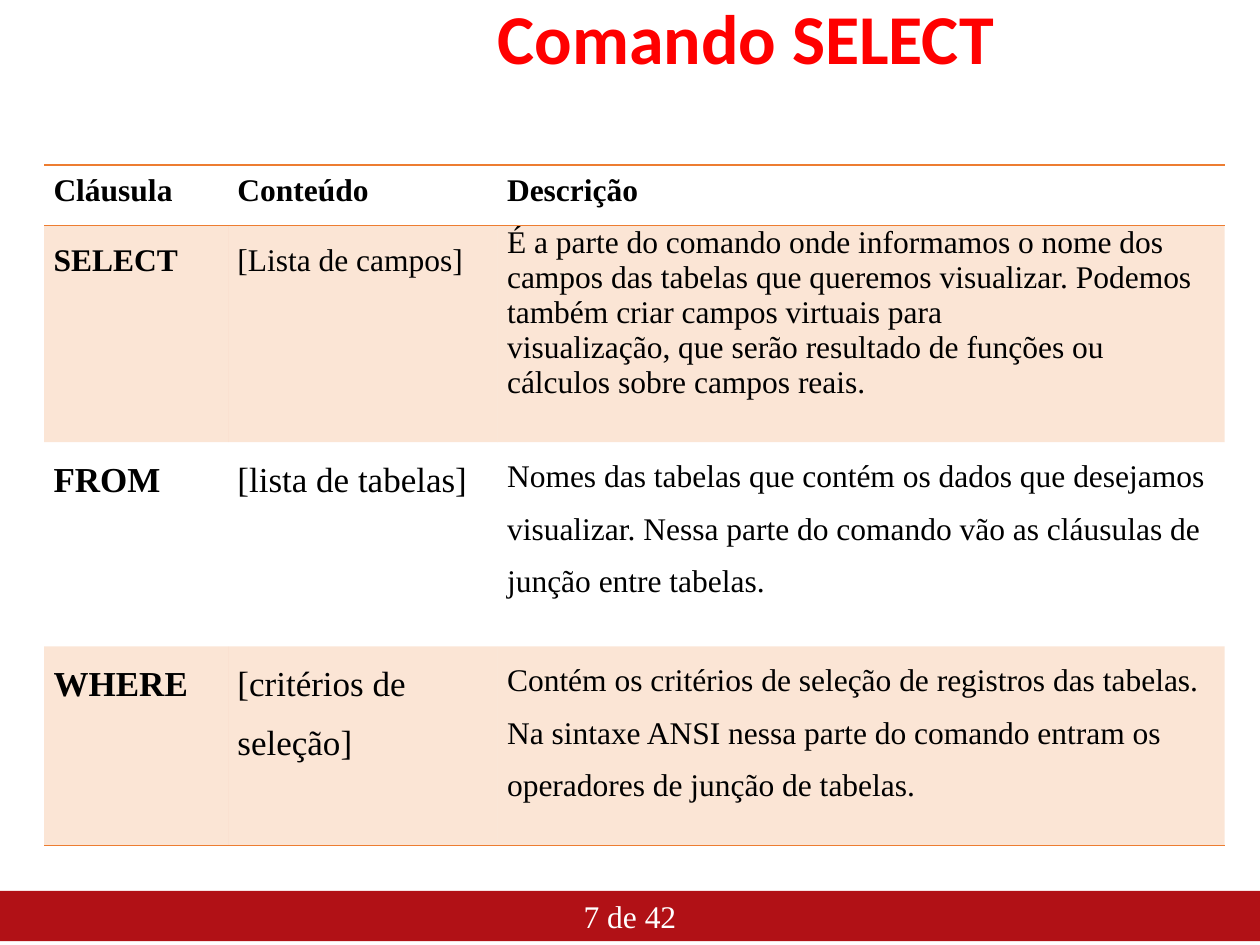
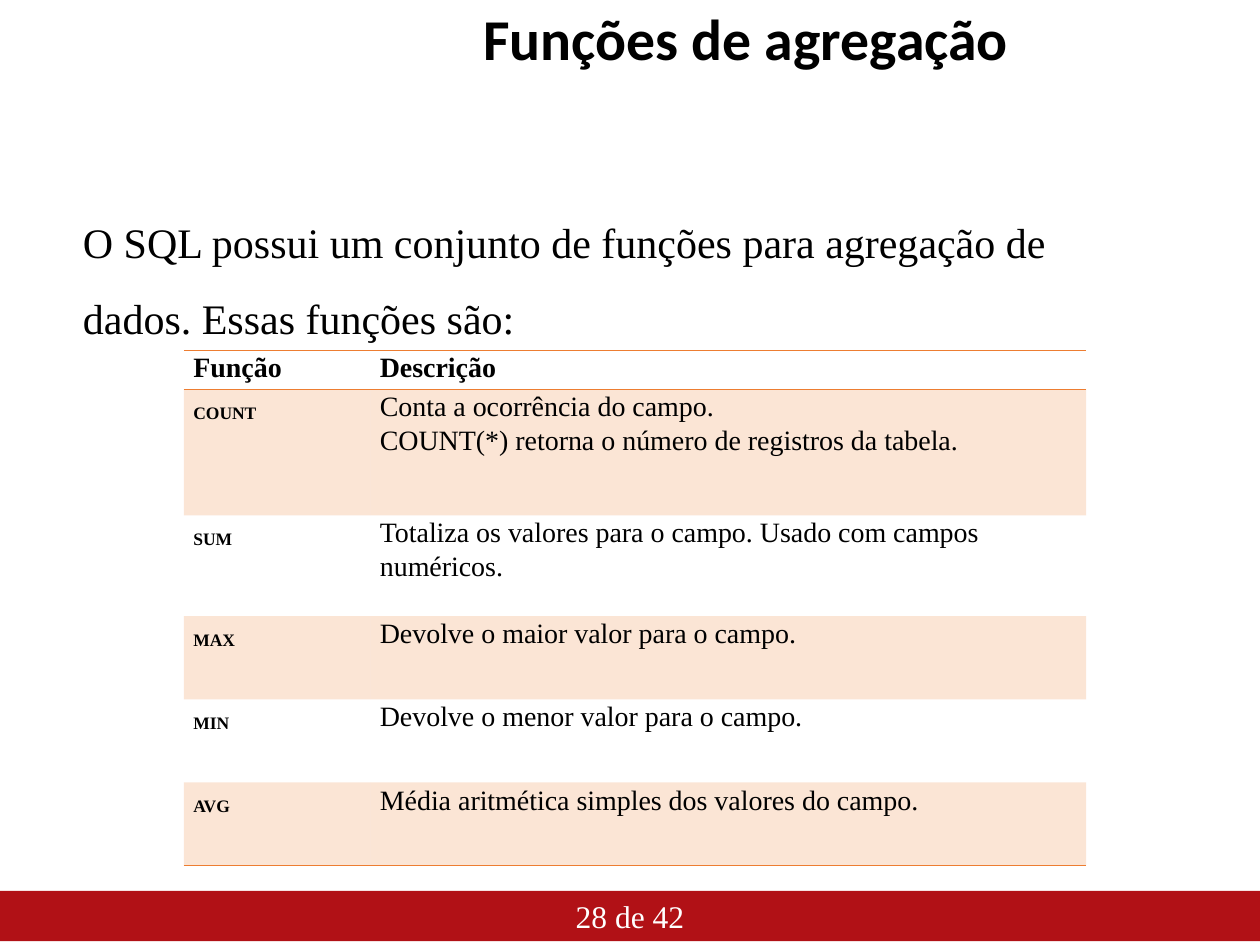
from dataclasses import dataclass

from lxml import etree
from pptx import Presentation, util as u
from pptx.dml import color
from pptx.enum import shapes, text
from pptx.oxml import ns

PAGE_COUNT = 42
PLAIN_TABLE = "{2D5ABB26-0587-4C30-8999-92F81FD0307C}"


def rgb(code):
    """Turn a hex string into a colour."""
    return color.RGBColor.from_string(code)


@dataclass
class Type:
    """Size, line spacing and weight of a piece of text."""
    size: float
    spacing: float = 1.0
    bold: bool = False


class Lesson:
    """Shared style and current slide, on a grid of 100 columns by 75 rows."""
    title_font, body_font = "Calibri", "Times New Roman"
    black, white, red = "000000", "FFFFFF", "FF0000"
    band, accent = "B11116", "ED7D31"
    tint = 20

    def __init__(self):
        """Start an empty deck and set the grid."""
        self.deck = Presentation()
        self.deck.slide_width, self.deck.slide_height = u.Inches(10), u.Inches(7.5)
        self.page = None

    def col(self, count):
        """Length of a number of grid columns."""
        return round(self.deck.slide_width * count / 100)

    def row(self, count):
        """Length of a number of grid rows."""
        return round(self.deck.slide_height * count / 75)

    def area(self, left, top, width, height):
        """Position and size from grid units."""
        return self.col(left), self.row(top), self.col(width), self.row(height)

    def add_text(self, frame, words, kind, font=None, ink=None, align=None):
        """Fill a text frame, one paragraph for each line of words."""
        frame.word_wrap = True
        for index, line in enumerate(words.split("\n")):
            para = frame.add_paragraph() if index else frame.paragraphs[0]
            para.line_spacing = kind.spacing
            if align is not None:
                para.alignment = align
            span = para.add_run()
            span.text = line
            span.font.name = font or self.body_font
            span.font.size = u.Pt(kind.size)
            span.font.bold = kind.bold
            span.font.color.rgb = rgb(ink or self.black)

    def start(self, title, size, number, ink=None):
        """Add a page with its title and numbered footer band."""
        self.page = self.deck.slides.add_slide(self.deck.slide_layouts[5])
        self.footer(number)
        box = self.page.shapes.title
        box.left, box.top, box.width, box.height = self.area(18.5, 0, 81.4, 6.7)
        frame = box.text_frame
        frame.auto_size = text.MSO_AUTO_SIZE.NONE
        frame.vertical_anchor = text.MSO_ANCHOR.MIDDLE
        self.add_text(frame, title, Type(size, 0.9, True), self.title_font, ink,
                      text.PP_ALIGN.CENTER)

    def footer(self, number):
        """Draw the footer band with the page number."""
        box = self.page.shapes.add_shape(shapes.MSO_SHAPE.RECTANGLE,
                                         *self.area(0, 70.7, 100, 4))
        box.shadow.inherit = False
        box.fill.solid()
        box.fill.fore_color.rgb = rgb(self.band)
        box.line.fill.background()
        box.text_frame.auto_size = text.MSO_AUTO_SIZE.SHAPE_TO_FIT_TEXT
        self.add_text(box.text_frame, f"{number} de {PAGE_COUNT}", Type(18),
                      ink=self.white, align=text.PP_ALIGN.CENTER)

    def body(self, words, place, indent, kind):
        """Add an indented text box."""
        box = self.page.shapes.add_textbox(*self.area(*place))
        box.text_frame.auto_size = text.MSO_AUTO_SIZE.SHAPE_TO_FIT_TEXT
        self.add_text(box.text_frame, words, kind)
        for para in box.text_frame.paragraphs:
            para._p.get_or_add_pPr().set("marL", str(self.col(indent)))

    def shade(self, cell):
        """Fill a cell with the translucent accent."""
        cell.fill.solid()
        cell.fill.fore_color.rgb = rgb(self.accent)
        shade = cell._tc.tcPr.find(".//" + ns.qn("a:srgbClr"))
        etree.SubElement(shade, ns.qn("a:alpha")).set("val", str(self.tint * 1000))

    def rule(self, cell, side):
        """Draw an accent border on side T or B; call B before T."""
        line = etree.Element(ns.qn(f"a:ln{side}"), w=str(u.Pt(1)))
        fill = etree.SubElement(line, ns.qn("a:solidFill"))
        etree.SubElement(fill, ns.qn("a:srgbClr")).set("val", self.accent)
        cell._tc.get_or_add_tcPr().insert(0, line)

    def table(self, corner, widths, heights, rows, kinds):
        """Add a ruled table with tinted odd rows; kinds gives each cell's type."""
        place = self.area(*corner, sum(widths), sum(heights))
        grid = self.page.shapes.add_table(len(rows), len(widths), *place).table
        grid.horz_banding = False
        grid._tbl.tblPr.find(ns.qn("a:tableStyleId")).text = PLAIN_TABLE
        for column, width in zip(grid.columns, widths):
            column.width = self.col(width)
        for r, (line, height) in enumerate(zip(rows, heights)):
            grid.rows[r].height = self.row(height)
            for c, words in enumerate(line):
                cell = grid.cell(r, c)
                cell.margin_left = cell.margin_right = self.col(0.75)
                cell.margin_top = cell.margin_bottom = 0
                self.add_text(cell.text_frame, words, kinds[r][c])
                if r % 2:
                    self.shade(cell)
                else:
                    cell.fill.background()
                if r in (0, len(rows) - 1):
                    self.rule(cell, "B")
                if r == 0:
                    self.rule(cell, "T")


lesson = Lesson()

lesson.start("Comando SELECT", 40, 7, lesson.red)
clauses = [
    ("Cláusula", "Conteúdo", "Descrição"),
    ("SELECT", "[Lista de campos]",
     "É a parte do comando onde informamos o nome dos campos das tabelas que "
     "queremos visualizar. Podemos também criar campos virtuais para\n"
     "visualização, que serão resultado de funções ou cálculos sobre campos reais."),
    ("FROM", "[lista de tabelas]",
     "Nomes das tabelas que contém os dados que desejamos visualizar. Nessa parte "
     "do comando vão as cláusulas de junção entre tabelas."),
    ("WHERE", "[critérios de seleção]",
     "Contém os critérios de seleção de registros das tabelas. Na sintaxe ANSI nessa "
     "parte do comando entram os operadores de junção de tabelas."),
]
large_row = [Type(20, 1.5, True), Type(20, 1.5), Type(18, 1.5)]
clause_kinds = [
    [Type(18, u.Pt(24.6), True)] * 3,
    [Type(18, 1.5, True), Type(18, 1.5), Type(18)],
    large_row,
    large_row,
]
lesson.table((3.5, 13.1), (14.6, 21.4, 57.7), (4.8, 17.2, 16.2, 15.8),
             clauses, clause_kinds)

lesson.start("Funções de agregação", 33, 28)
lesson.body("O SQL possui um conjunto de funções para agregação de dados. "
            "Essas funções são:", (0, 14.7, 93, 13.1), 5.6, Type(24, 1.5))
functions = [
    ("Função", "Descrição"),
    ("COUNT", "Conta a ocorrência do campo.\n"
              "COUNT(*) retorna o número de registros da tabela."),
    ("SUM", "Totaliza os valores para o campo. Usado com campos numéricos."),
    ("MAX", "Devolve o maior valor para o campo."),
    ("MIN", "Devolve o menor valor para o campo."),
    ("AVG", "Média aritmética simples dos valores do campo."),
]
tight = u.Pt(19.3)
function_kinds = [[Type(16, tight, True)] * 2]
function_kinds += [[Type(10, tight, True), Type(16, tight)]] * (len(functions) - 1)
lesson.table((14.6, 27.8), (14.8, 56.8), (3.1, 10, 8) + (6.6,) * 3,
             functions, function_kinds)

lesson.deck.save("out.pptx")
